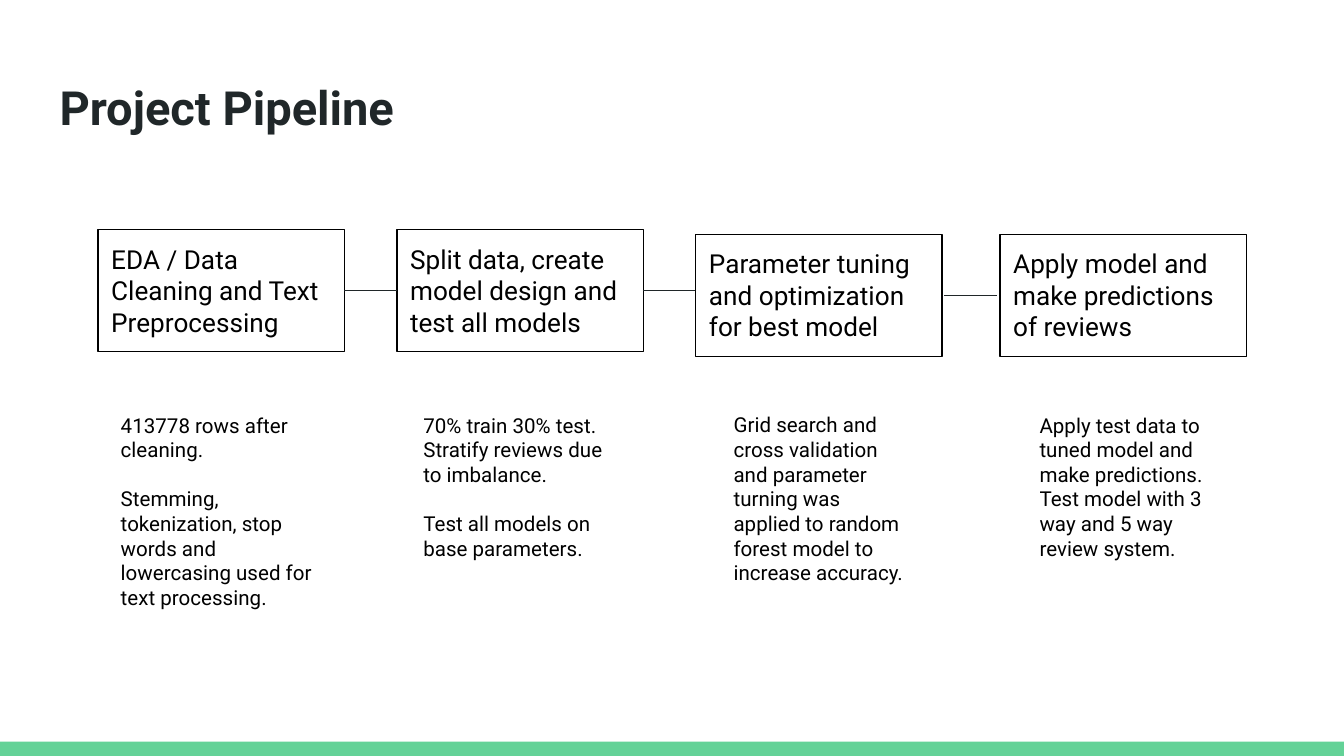
from pptx import Presentation
from pptx.dml.color import RGBColor
from pptx.enum.shapes import MSO_CONNECTOR, MSO_SHAPE
from pptx.enum.text import MSO_ANCHOR
from pptx.oxml.ns import qn
from pptx.util import Pt
from lxml import etree

RECT = MSO_SHAPE.RECTANGLE
LINE = MSO_CONNECTOR.STRAIGHT
TOP = MSO_ANCHOR.TOP
BLACK = RGBColor(0x00, 0x00, 0x00)
DARK = RGBColor(0x20, 0x27, 0x29)
GREEN = RGBColor(0x63, 0xD2, 0x97)

FRAME = {"word_wrap": True, "vertical_anchor": TOP,
         "margin_left": Pt(7.2), "margin_right": Pt(7.2),
         "margin_top": Pt(7.2), "margin_bottom": Pt(7.2)}
HEAD = {"name": "Roboto", "size": Pt(25.2), "bold": True}
STEP = {"name": "Roboto", "size": Pt(14)}
NOTE = {"name": "Roboto", "size": Pt(11)}

deck = Presentation()
deck.slide_width, deck.slide_height = Pt(720), Pt(405)
slide = deck.slides.add_slide(deck.slide_layouts[6])
shapes = slide.shapes


def write(shape, texts, style, color):
    frame = shape.text_frame
    for key, value in FRAME.items():
        setattr(frame, key, value)
    for i, text in enumerate(texts):
        para = frame.add_paragraph() if i else frame.paragraphs[0]
        para.alignment = 1
        para.space_before = Pt(13.2 if i else 0)
        run = para.add_run()
        run.text = text
        for key, value in style.items():
            setattr(run.font, key, value)
        run.font.color.rgb = color


def block(x, y, w, h):
    shape = shapes.add_shape(RECT, Pt(x), Pt(y), Pt(w), Pt(h))
    shape.shadow.inherit = False
    return shape


bar = block(0, 397.3, 720, 7.7)
bar.fill.solid()
bar.fill.fore_color.rgb = GREEN
bar.line.fill.background()

title = shapes.add_textbox(Pt(24.8), Pt(35.1), Pt(671), Pt(45))
write(title, ["Project Pipeline"], HEAD, DARK)

steps = [
    (52.5, 123.1, "EDA / Data Cleaning and Text Preprocessing",
     57.6, 118.8, 121,
     ["413778 rows after cleaning.",
      "Stemming, tokenization, stop words and lowercasing used for "
      "text processing."]),
    (212.6, 123.1, "Split data, create model design and test all models",
     219.7, 110.9, 94.3,
     ["70% train 30% test. Stratify reviews due to imbalance.",
      "Test all models on base parameters."]),
    (372.7, 125.6, "Parameter tuning and optimization for best model",
     385.9, 108.7, 108,
     ["Grid search and cross validation and parameter turning was "
      "applied to random forest model to increase accuracy."]),
    (535.7, 125.6, "Apply model and make predictions of reviews",
     549.8, 108.7, 94.3,
     ["Apply test data to tuned model and make predictions. "
      "Test model with 3 way and 5 way review system."]),
]
for x, y, label, left, width, height, notes in steps:
    box = block(x, y, 132, 65.3)
    box.fill.background()
    box.line.color.rgb = BLACK
    box.line.width = Pt(0.75)
    write(box, [label], STEP, BLACK)
    note = shapes.add_textbox(Pt(left), Pt(213.8), Pt(width), Pt(height))
    write(note, notes, NOTE, BLACK)

for x, y in [(184.5, 155.6), (344.4, 155.6), (505.9, 158.3)]:
    link = shapes.add_connector(LINE, Pt(x), Pt(y), Pt(x + 28.1), Pt(y))
    link.line.color.rgb = DARK
    link.line.width = Pt(0.75)
    etree.SubElement(link._element.spPr, qn("a:effectLst"))

deck.save("out.pptx")
